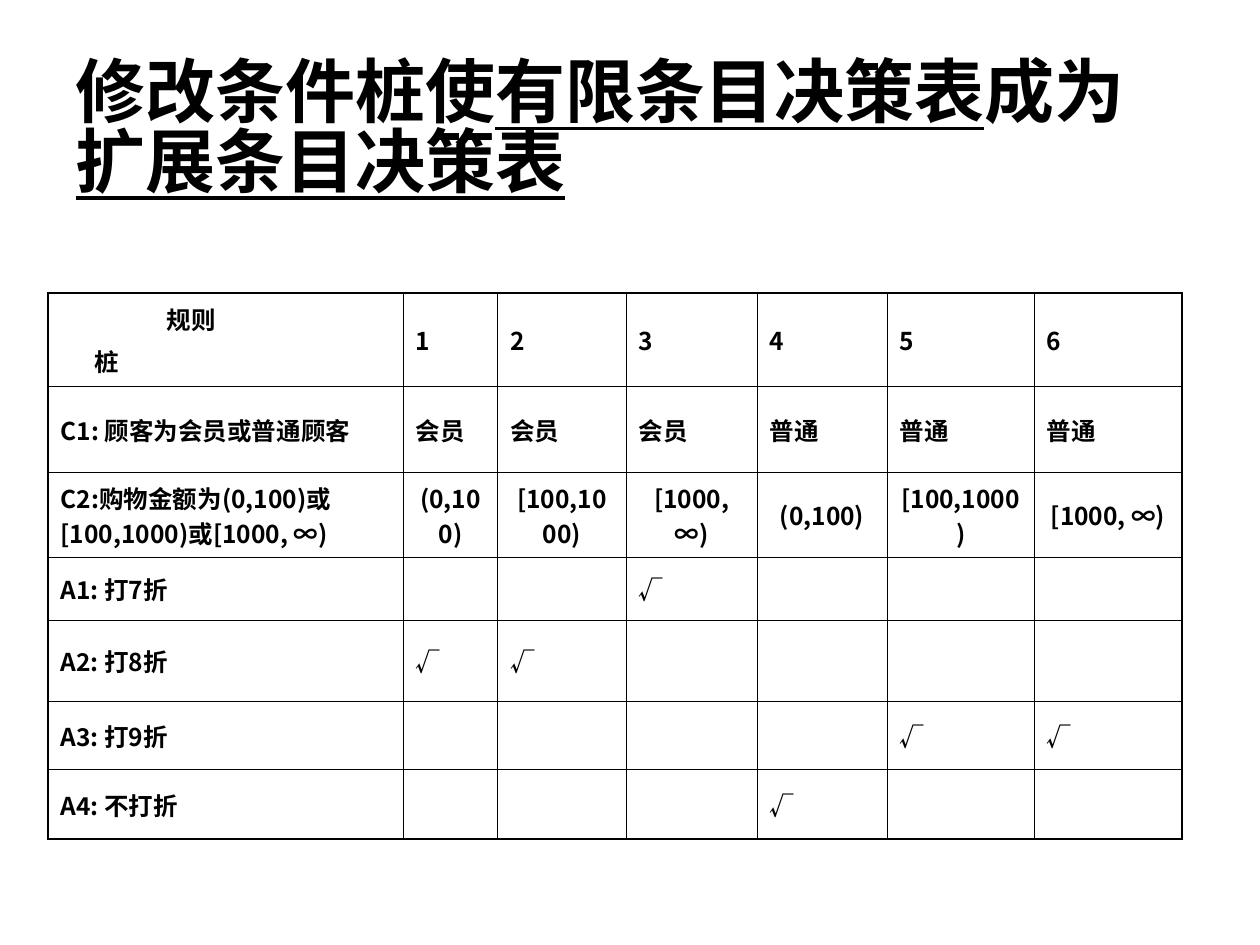
from lxml.etree import SubElement
from pptx import Presentation
from pptx.dml.color import RGBColor
from pptx.enum.text import MSO_ANCHOR, MSO_AUTO_SIZE, PP_ALIGN
from pptx.oxml.ns import qn
from pptx.util import Pt

BLACK = RGBColor(0x00, 0x00, 0x00)
TITLE_FONT = "Arial"
CJK_FONT = "Noto Sans CJK KR"
THIN, THICK = 0.45, 1.08

# Table content
COL_WIDTHS = [203, 54, 73.4, 74.9, 74.2, 84.2, 84.3]
ROW_HEIGHTS = [53.3, 49.4, 48.5, 36, 46.4, 38.9, 39.6]
CORNER_LABELS = [("规则", 60.6), ("桩", 19.4)]  # text, indent
MEMBER, REGULAR = "会员", "普通"
AMOUNTS = ["(0,100)", "[100,1000)", "[1000, ∞)"]
AMOUNT_ROW = 2
ACTIONS = [  # label, rules that trigger it
    ("A1: 打7折", {3}),
    ("A2: 打8折", {1, 2}),
    ("A3: 打9折", {5, 6}),
    ("A4: 不打折", {4}),
]
RULES = range(1, 7)
ROWS = [
    [""] + [str(n) for n in RULES],
    ["C1: 顾客为会员或普通顾客"] + [MEMBER] * 3 + [REGULAR] * 3,
    ["C2:购物金额为(0,100)或[100,1000)或[1000, ∞)"] + AMOUNTS * 2,
] + [[label] + ["√" if n in hits else "" for n in RULES]
     for label, hits in ACTIONS]


class DeckStyle:
    """Holds the text style and the current slide."""

    def __init__(self, prs):
        self.s = prs.slides.add_slide(prs.slide_layouts[5])

    def run(self, p, text, size, font, underline=False):
        r = p.add_run()
        r.text = text
        r.font.size = Pt(size)
        r.font.bold = True
        r.font.underline = underline
        r.font.color.rgb = BLACK
        r.font.name = font
        SubElement(r.font._element, qn("a:ea"), typeface=CJK_FONT)

    def title(self, parts, left, top, width, height):
        sp = self.s.shapes.title
        sp.left, sp.top, sp.width, sp.height = map(Pt, (left, top, width, height))
        tf = sp.text_frame
        tf.word_wrap = True
        tf.auto_size = MSO_AUTO_SIZE.NONE
        tf.vertical_anchor = MSO_ANCHOR.MIDDLE
        p = tf.paragraphs[0]
        p.alignment = PP_ALIGN.LEFT
        p.line_spacing = 0.83
        for text, underline in parts:
            self.run(p, text, 40, TITLE_FONT, underline)

    def borders(self, cell, widths):
        tc_pr = cell._tc.get_or_add_tcPr()
        for side, width in zip("LRTB", widths):
            ln = SubElement(tc_pr, qn(f"a:ln{side}"), w=str(Pt(width)))
            fill = SubElement(ln, qn("a:solidFill"))
            SubElement(fill, qn("a:srgbClr"), val=str(BLACK))

    def table(self, rows, left, top):
        n_rows, n_cols = len(rows), len(rows[0])
        table = self.s.shapes.add_table(
            n_rows, n_cols, Pt(left), Pt(top),
            Pt(sum(COL_WIDTHS)), Pt(sum(ROW_HEIGHTS))).table
        table.first_row = table.horz_banding = False
        for col, width in zip(table.columns, COL_WIDTHS):
            col.width = Pt(width)
        for row, height in zip(table.rows, ROW_HEIGHTS):
            row.height = Pt(height)
        for i, values in enumerate(rows):
            for j, text in enumerate(values):
                cell = table.cell(i, j)
                cell.vertical_anchor = MSO_ANCHOR.MIDDLE
                outer = (j == 0, j == n_cols - 1, i == 0, i == n_rows - 1)
                self.borders(cell, [THICK if edge else THIN for edge in outer])
                cell.fill.background()
                if text:
                    p = cell.text_frame.paragraphs[0]
                    if i == AMOUNT_ROW and j > 0:
                        p.alignment = PP_ALIGN.CENTER
                    self.run(p, text, 14, CJK_FONT)
        return table

    def corner(self, cell, labels):
        tf = cell.text_frame
        for k, (text, indent) in enumerate(labels):
            p = tf.add_paragraph() if k else tf.paragraphs[0]
            p._p.get_or_add_pPr().set("marL", str(Pt(indent)))
            if k:
                p.space_before = Pt(3.5)
            self.run(p, text, 14, CJK_FONT)


def main():
    prs = Presentation()
    prs.slide_width, prs.slide_height = Pt(720), Pt(540)
    deck = DeckStyle(prs)

    # Title with the two table kinds underlined
    deck.title([("修改条件桩使", False), ("有限条目决策表", True),
                ("成为", False), ("扩展条目决策表", True)],
               36, 47.5, 648, 55.5)

    # Decision table
    table = deck.table(ROWS, 27.4, 167.5)
    deck.corner(table.cell(0, 0), CORNER_LABELS)

    prs.save("out.pptx")


if __name__ == "__main__":
    main()
